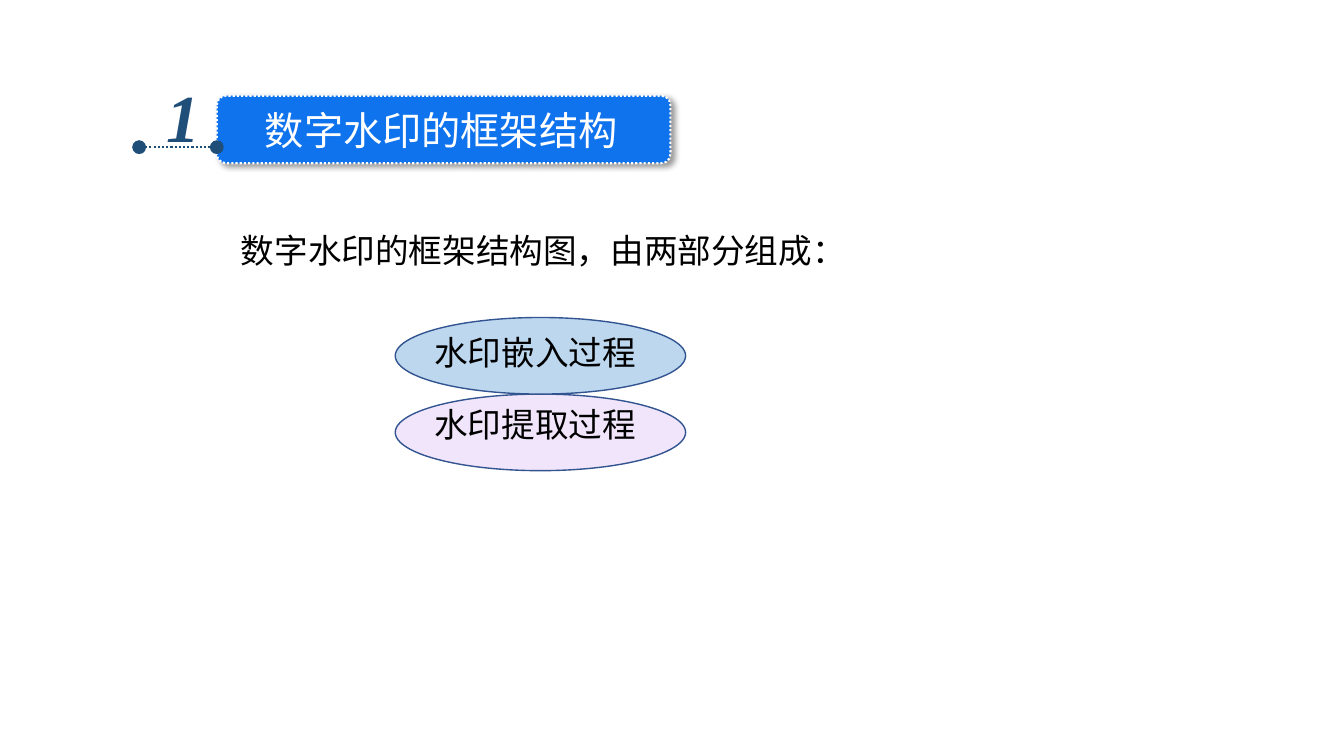
import pptx
import pptx.util
import pptx.dml.color
import pptx.enum.dml
import pptx.enum.shapes
import pptx.enum.text
import pptx.oxml
import pptx.oxml.ns

Inches, Pt = pptx.util.Inches, pptx.util.Pt
MSO_SHAPE = pptx.enum.shapes.MSO_SHAPE
CJK = "Noto Sans CJK SC"
COLORS = {
    "banner": "0F73EE", "navy": "1F4E79", "white": "FFFFFF", "black": "000000",
    "outline": "325491", "embed": "BDD7EE", "extract": "E3C9F7",
}


def rgb(name):
    """Return the named colour."""
    return pptx.dml.color.RGBColor.from_string(COLORS[name])


def add_xml(parent, tag, **attrs):
    """Append a DrawingML element and return it."""
    el = pptx.oxml.parse_xml(f"<a:{tag} {pptx.oxml.ns.nsdecls('a')}/>")
    for key, value in attrs.items():
        el.set(key, str(value))
    parent.append(el)
    return el


def add_text(slide, box, text, size, color, font=CJK, bold=False, italic=False, gap=0):
    """Add a text box whose paragraphs are the lines of text."""
    tb = slide.shapes.add_textbox(*map(Inches, box))
    tf = tb.text_frame
    tf.word_wrap = False
    tf.auto_size = pptx.enum.text.MSO_AUTO_SIZE.NONE
    tf.text = text
    for i, p in enumerate(tf.paragraphs):
        if i:
            p.space_before = Pt(gap)
        for r in p.runs:
            r.font.size, r.font.name = Pt(size), font
            r.font.bold, r.font.italic = bold, italic
            r.font.color.rgb = rgb(color)
            add_xml(r.font._element, "ea", typeface=font)


def add_filled(slide, kind, box, fill, line, width):
    """Add a filled, outlined shape without a shadow."""
    sp = slide.shapes.add_shape(kind, *map(Inches, box))
    sp.shadow.inherit = False
    sp.fill.solid()
    sp.fill.fore_color.rgb = rgb(fill)
    sp.line.color.rgb = rgb(line)
    sp.line.width = Pt(width)
    return sp


def add_heading(slide, x, y, number, title):
    """Add the numbered banner with its dotted lead-in line."""
    dotted = pptx.enum.dml.MSO_LINE.ROUND_DOT
    banner = add_filled(slide, MSO_SHAPE.ROUNDED_RECTANGLE,
                        (x + 0.77, y, 4.5, 0.67), "banner", "white", 1.5)
    banner.adjustments[0] = 0.137
    banner.line.dash_style = dotted
    effects = banner._element.spPr.find(pptx.oxml.ns.qn("a:effectLst"))
    shadow = add_xml(effects, "outerShdw", blurRad=Pt(4), dist=Pt(3),
                     dir=45 * 60000, algn="tl", rotWithShape=0)
    add_xml(add_xml(shadow, "srgbClr", val=COLORS["black"]), "alpha", val=40000)
    add_text(slide, (x + 1.15, y + 0.06, 3.74, 0.57), title, 28, "white")
    add_text(slide, (x + 0.17, y - 0.25, 0.54, 0.91), number, 48, "navy",
             "Times New Roman", True, True)
    line = slide.shapes.add_connector(
        pptx.enum.shapes.MSO_CONNECTOR.STRAIGHT,
        *map(Inches, (x, y + 0.51, x + 0.77, y + 0.51)))
    line.line.color.rgb = rgb("navy")
    line.line.width = Pt(1.5)
    line.line.dash_style = dotted
    for end in ("headEnd", "tailEnd"):
        add_xml(line.line._get_or_add_ln(), end, type="oval", w="lg", len="lg")
    add_xml(line._element.spPr, "effectLst")


def add_processes(slide, x, y, w, h):
    """Stack the two process ellipses in the box and label them."""
    half = h / 2
    extract, embed = [
        add_filled(slide, MSO_SHAPE.OVAL, (x, top, w, half), fill, "outline", 1)
        for fill, top in (("extract", y + half), ("embed", y))]
    color = extract._element.spPr.find(".//" + pptx.oxml.ns.qn("a:srgbClr"))
    add_xml(color, "alpha", val=48000)
    add_text(slide, (x + 0.29, y + 0.09, 2.62, 1.38),
             "水印嵌入过程\n水印提取过程", 24, "black", gap=23)


def main():
    """Build and save the slide."""
    prs = pptx.Presentation()
    prs.slide_width, prs.slide_height = Inches(13.33), Inches(7.5)
    slide = prs.slides.add_slide(prs.slide_layouts[6])
    add_processes(slide, 3.92, 3.15, 2.88, 1.52)
    add_heading(slide, 1.38, 0.95, "1", "数字水印的框架结构")
    add_text(slide, (2.29, 2.23, 6.26, 0.5),
             "数字水印的框架结构图，由两部分组成：", 24, "black")
    prs.save("out.pptx")


if __name__ == "__main__":
    main()
